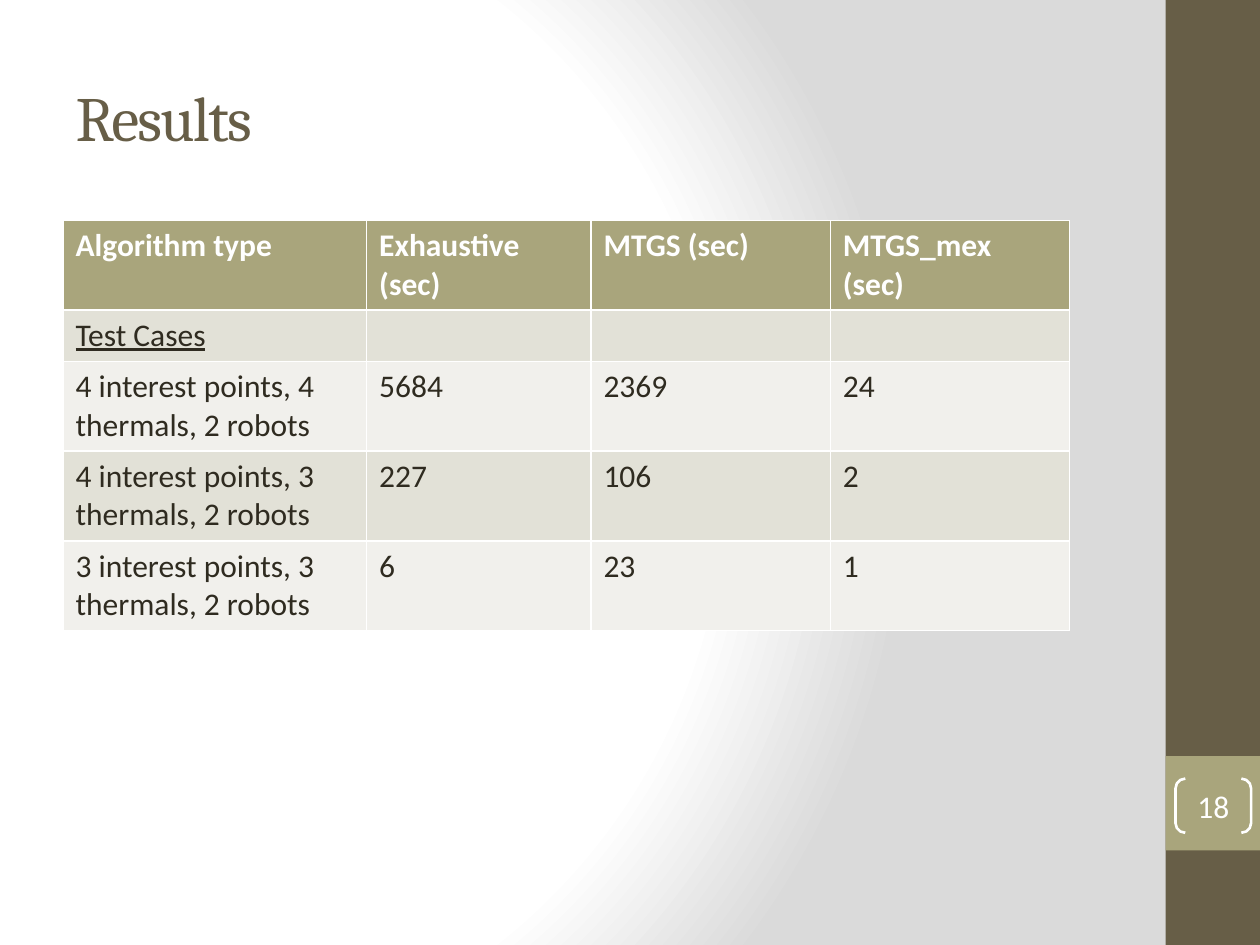
from pptx import Presentation
from pptx.dml.color import RGBColor
from pptx.enum.shapes import MSO_SHAPE
from pptx.enum.text import MSO_ANCHOR, PP_ALIGN
from pptx.oxml import parse_xml
from pptx.oxml.ns import nsdecls, qn
from pptx.util import Inches, Pt

COLORS = {
    "white": "FFFFFF",
    "shade": "DADADA",
    "brown": "675E47",
    "olive": "A9A57C",
    "ink": "2F2B20",
    "band_dark": "E2E1D7",
    "band_light": "F1F0EC",
}


def color(name):
    return RGBColor.from_string(COLORS[name])


def write(box, text, ink, **formats):
    para = box.text_frame.paragraphs[0]
    span = para.add_run()
    span.text = text
    span.font.color.rgb = color(ink)
    for name, value in {"name": "Calibri", "size": Pt(18), **formats}.items():
        setattr(span.font, name, value)
    return para, span


deck = Presentation()
deck.slide_width, deck.slide_height = Inches(10), Inches(7.5)
page = deck.slides.add_slide(deck.slide_layouts[5])

page.background.fill.gradient()
gradient = page.element.find(".//" + qn("a:gradFill"))
stops = "".join(
    f'<a:gs pos="{percent * 1000}"><a:srgbClr val="{COLORS[name]}"/></a:gs>'
    for percent, name in [(0, "white"), (75, "white"), (100, "shade")]
)
gradient.getparent().replace(gradient, parse_xml(
    f'<a:gradFill {nsdecls("a")} rotWithShape="1"><a:gsLst>{stops}</a:gsLst>'
    '<a:path path="circle">'
    '<a:fillToRect l="20000" t="50000" r="100000" b="50000"/>'
    '</a:path></a:gradFill>'
))

for top, height, fill in [(0, 7.5, "brown"), (6, 0.75, "olive")]:
    band = page.shapes.add_shape(
        MSO_SHAPE.RECTANGLE, Inches(9.25), Inches(top), Inches(0.75), Inches(height)
    )
    band.shadow.inherit = False
    band.fill.solid()
    band.fill.fore_color.rgb = color(fill)
    band.line.fill.background()

title = page.shapes.title
title.left, title.top = Inches(0.5), Inches(0.3)
title.width, title.height = Inches(8.33), Inches(1.25)
title.text_frame.vertical_anchor = MSO_ANCHOR.MIDDLE
para, span = write(title, "Results", "brown", name="Cambria", size=Pt(36))
para.alignment = PP_ALIGN.LEFT
span.font._element.set("spc", "-100")

rows = [
    ["Algorithm type", "Exhaustive (sec)", "MTGS (sec)", "MTGS_mex (sec)"],
    ["Test Cases", "", "", ""],
    ["4 interest points, 4 thermals, 2 robots", "5684", "2369", "24"],
    ["4 interest points, 3 thermals, 2 robots", "227", "106", "2"],
    ["3 interest points, 3 thermals, 2 robots", "6", "23", "1"],
]
column_widths = [2.41, 1.78, 1.9, 1.9]
row_heights = [0.7, 0.41, 0.7, 0.7, 0.7]
table = page.shapes.add_table(
    len(rows), len(column_widths),
    Inches(0.5), Inches(1.75), Inches(sum(column_widths)), Inches(sum(row_heights)),
).table
for column, width in zip(table.columns, column_widths):
    column.width = Inches(width)
for row, height in zip(table.rows, row_heights):
    row.height = Inches(height)

for row_index, texts in enumerate(rows):
    header = row_index == 0
    fill = "olive" if header else "band_dark" if row_index % 2 else "band_light"
    for column_index, text in enumerate(texts):
        cell = table.cell(row_index, column_index)
        cell.fill.solid()
        cell.fill.fore_color.rgb = color(fill)
        if text:
            write(cell, text, "white" if header else "ink",
                  bold=header, underline=text == "Test Cases")
        else:
            cell.text_frame.paragraphs[0].font.size = Pt(18)

bracket = page.shapes.add_shape(
    MSO_SHAPE.DOUBLE_BRACKET, Inches(9.33), Inches(6.18), Inches(0.6), Inches(0.43)
)
bracket.adjustments[0] = 0.18
bracket.shadow.inherit = False
bracket.fill.background()
bracket.line.color.rgb = color("white")
bracket.line.width = Pt(1.5)
frame = bracket.text_frame
frame.vertical_anchor = MSO_ANCHOR.MIDDLE
for side in ["left", "top", "right", "bottom"]:
    setattr(frame, f"margin_{side}", 0)
para, span = write(bracket, "18", "white")
para.alignment = PP_ALIGN.CENTER

deck.save("out.pptx")
